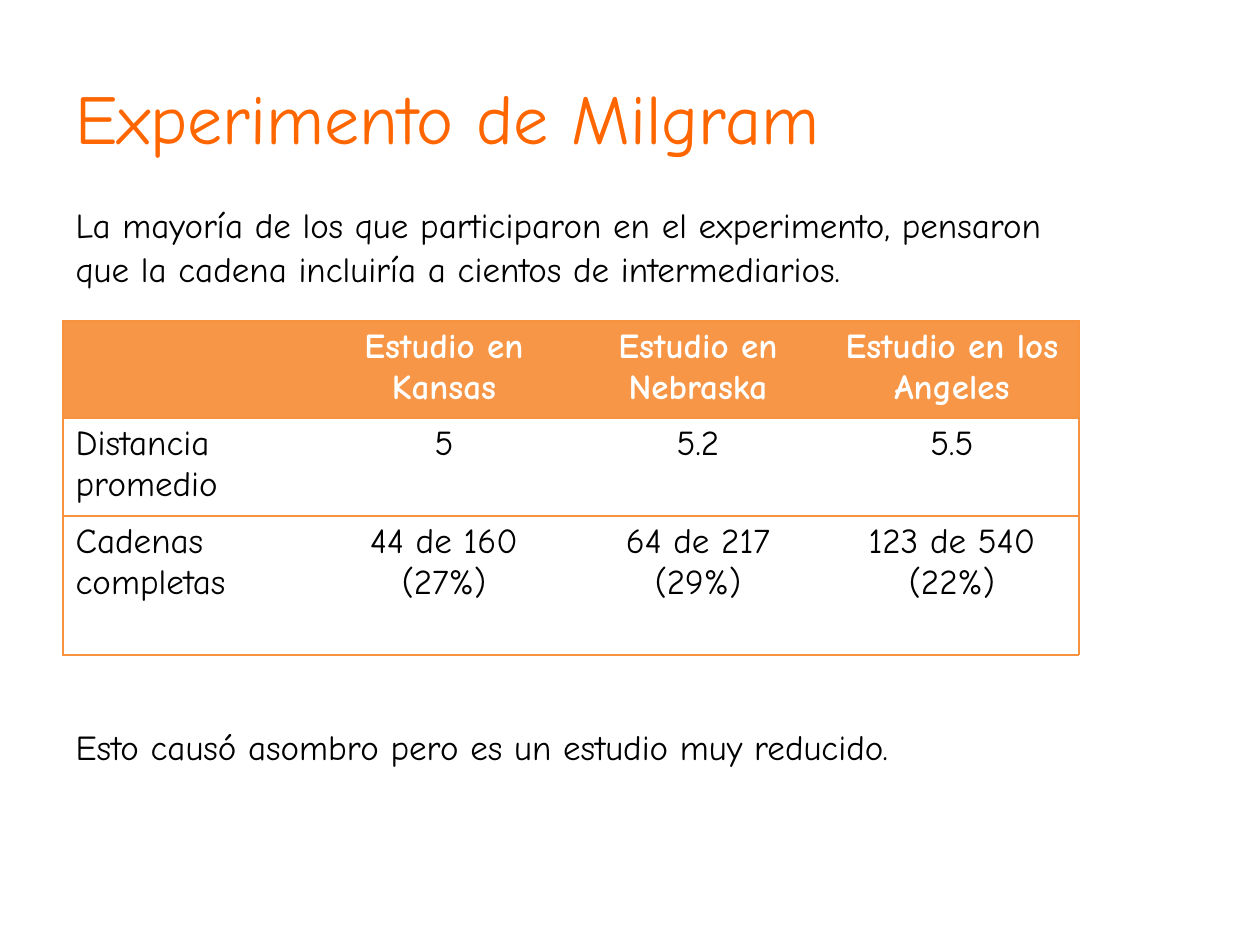
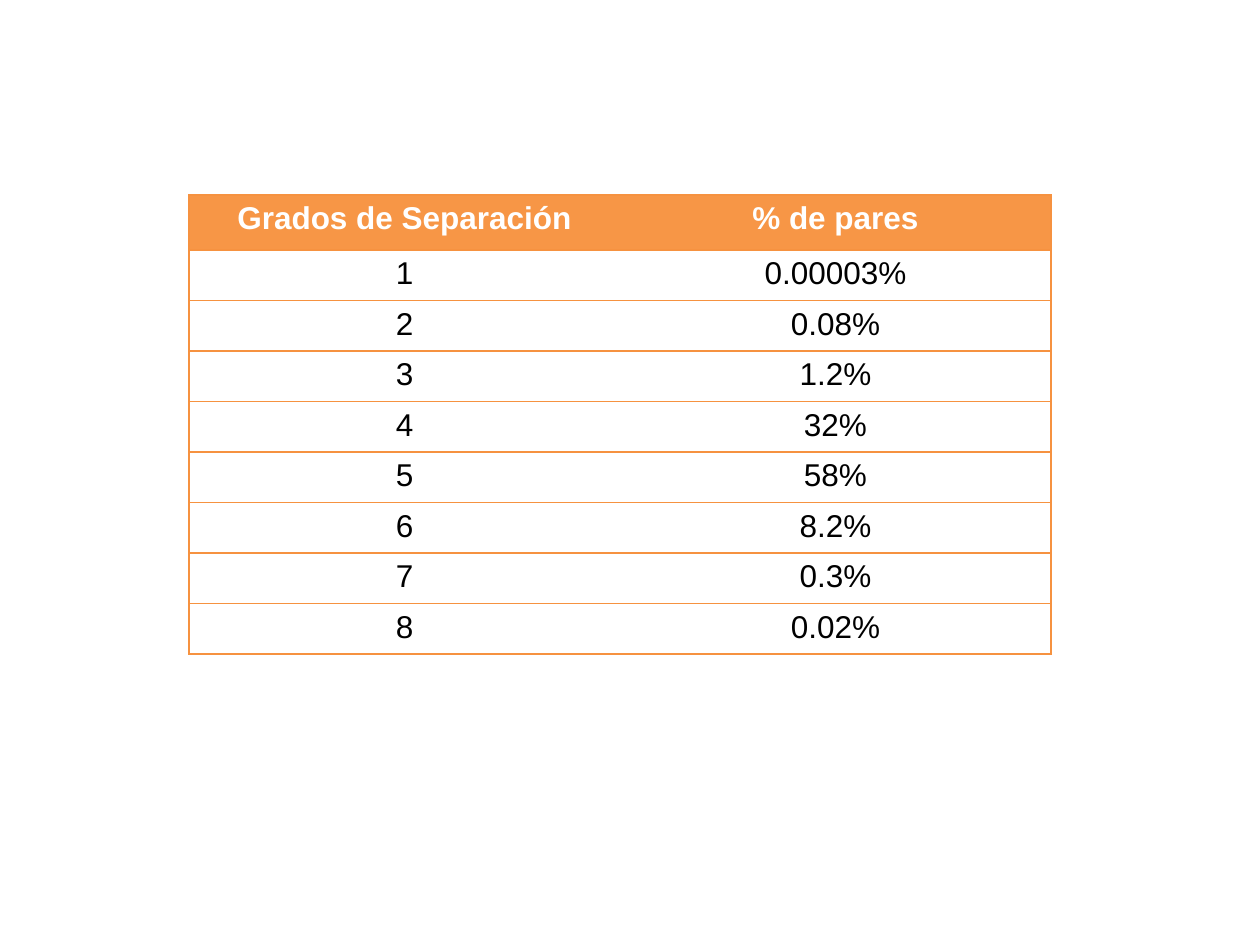
from lxml import etree
from pptx import Presentation
from pptx.dml.color import RGBColor
from pptx.enum.text import MSO_ANCHOR, MSO_AUTO_SIZE, PP_ALIGN
from pptx.oxml.ns import qn
from pptx.util import Emu, Pt

TITLE_ORANGE, HEADER_ORANGE, BORDER_ORANGE = "FF6600", "F79646", "F69240"
BLACK, WHITE = "000000", "FFFFFF"
PLAIN_TABLE_STYLE = "{2D5ABB26-0587-4C30-8999-92F81FD0307C}"


def px(length):
    return Emu(round(length * 914400 / 126))


def format_paragraph(paragraph, color, alignment=PP_ALIGN.LEFT, **font_values):
    paragraph.alignment = alignment
    for name, value in font_values.items():
        setattr(paragraph.font, name, value)
    paragraph.font.color.rgb = RGBColor.from_string(color)


presentation = Presentation()
presentation.slide_width, presentation.slide_height = px(1260), px(945)
milgram_slide = presentation.slides.add_slide(presentation.slide_layouts[1])
degrees_slide = presentation.slides.add_slide(presentation.slide_layouts[6])

title, body = milgram_slide.placeholders
title.text_frame.text = "Experimento de Milgram"
body.text_frame.text = (
    "La mayoría de los que participaron en el experimento, pensaron que la cadena "
    "incluiría a cientos de intermediarios.\n"
    "Esto causó asombro pero es un estudio muy reducido."
)
for shape, box, anchor in (
    (title, (63, 38, 1134, 157), MSO_ANCHOR.MIDDLE),
    (body, (63, 195, 999, 653), MSO_ANCHOR.TOP),
):
    shape.left, shape.top, shape.width, shape.height = map(px, box)
    shape.text_frame.vertical_anchor = anchor
    shape.text_frame.auto_size = MSO_AUTO_SIZE.NONE
    shape.text_frame.word_wrap = True

format_paragraph(title.text_frame.paragraphs[0], TITLE_ORANGE, name="Comic Neue", size=Pt(40))
for paragraph, space_before in zip(body.text_frame.paragraphs, (0, 248)):
    properties = paragraph._p.get_or_add_pPr()
    properties.set("marL", "0")
    properties.set("indent", "0")
    etree.SubElement(properties, qn("a:buNone"))
    paragraph.space_before = Pt(space_before)
    paragraph.line_spacing = 1.05
    format_paragraph(paragraph, BLACK, name="Comic Neue", size=Pt(20))

tables = [
    {
        "slide": milgram_slide,
        "box": (63, 321, 1016, 334),
        "row_heights": [97, 98, 139],
        "font": {"name": "Comic Neue", "size": Pt(20)},
        "label_alignment": PP_ALIGN.LEFT,
        "rows": [
            ("", "Estudio en Kansas", "Estudio en Nebraska", "Estudio en los Angeles"),
            ("Distancia promedio", "5", "5.2", "5.5"),
            ("Cadenas completas", "44 de 160 (27%)", "64 de 217 (29%)", "123 de 540 (22%)"),
        ],
    },
    {
        "slide": degrees_slide,
        "box": (189, 195, 862, 459),
        "row_heights": [55] + [404 / 8] * 8,
        "font": {"name": "Arial", "size": Pt(18)},
        "label_alignment": PP_ALIGN.CENTER,
        "rows": [
            ("Grados de Separación", "% de pares"),
            ("1", "0.00003%"),
            ("2", "0.08%"),
            ("3", "1.2%"),
            ("4", "32%"),
            ("5", "58%"),
            ("6", "8.2%"),
            ("7", "0.3%"),
            ("8", "0.02%"),
        ],
    },
]

for spec in tables:
    rows = spec["rows"]
    last_column = len(rows[0]) - 1
    table = spec["slide"].shapes.add_table(len(rows), len(rows[0]), *map(px, spec["box"])).table
    table._tbl.tblPr.find(qn("a:tableStyleId")).text = PLAIN_TABLE_STYLE
    table.horz_banding = False
    for column in table.columns:
        column.width = px(spec["box"][2] / len(rows[0]))
    for row_index, texts in enumerate(rows):
        table.rows[row_index].height = px(spec["row_heights"][row_index])
        is_header = row_index == 0
        for column_index, text in enumerate(texts):
            cell = table.cell(row_index, column_index)
            cell.text = text
            edges = ["lnL"] * (column_index == 0) + ["lnR"] * (column_index == last_column)
            for edge in edges + ["lnT", "lnB"]:
                line = etree.SubElement(cell._tc.get_or_add_tcPr(), qn(f"a:{edge}"), w="9525")
                fill = etree.SubElement(line, qn("a:solidFill"))
                etree.SubElement(fill, qn("a:srgbClr"), val=BORDER_ORANGE)
            if is_header:
                cell.fill.solid()
                cell.fill.fore_color.rgb = RGBColor.from_string(HEADER_ORANGE)
            else:
                cell.fill.background()
            is_label = column_index == 0 and not is_header
            format_paragraph(
                cell.text_frame.paragraphs[0],
                WHITE if is_header else BLACK,
                spec["label_alignment"] if is_label else PP_ALIGN.CENTER,
                bold=is_header,
                **spec["font"],
            )

presentation.save("out.pptx")
